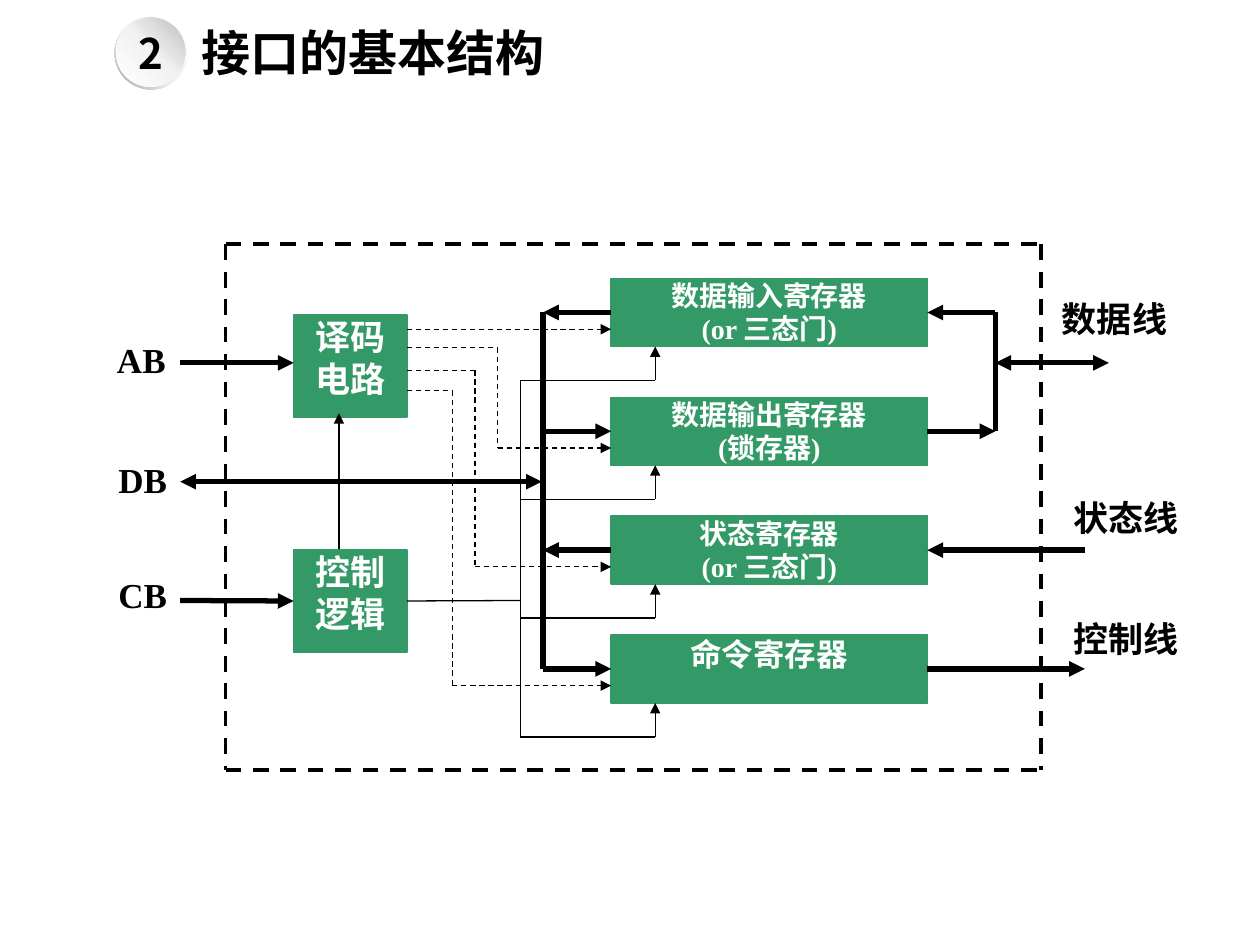
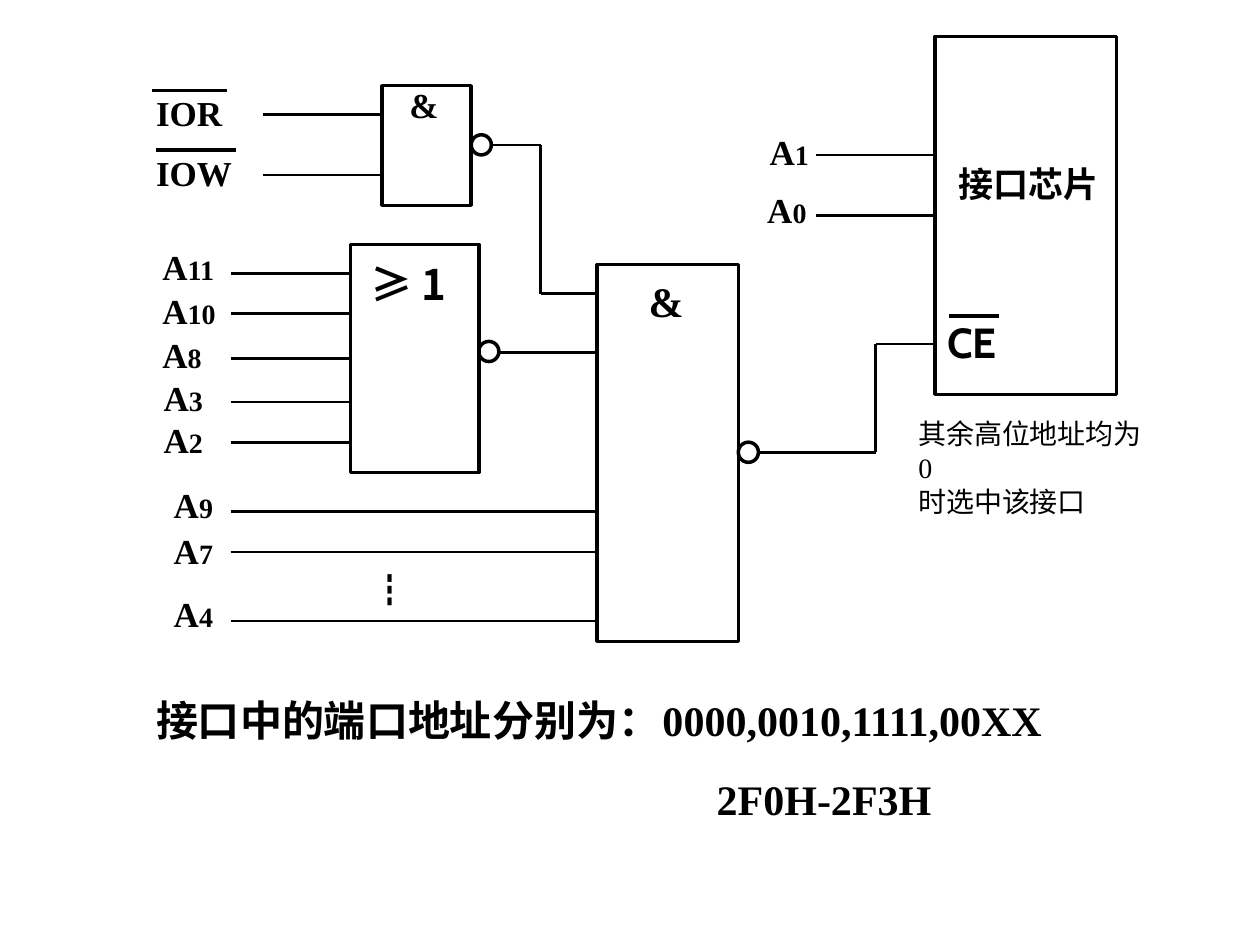
"""Build two slides on the basic structure and address decoding of an interface."""
from dataclasses import dataclass, field
from typing import NamedTuple

from lxml.etree import SubElement
from pptx import Presentation
from pptx.dml.color import RGBColor
from pptx.enum.dml import MSO_LINE
from pptx.enum.shapes import MSO_CONNECTOR, MSO_SHAPE
from pptx.enum.text import MSO_ANCHOR, MSO_AUTO_SIZE, PP_ALIGN
from pptx.oxml.ns import qn
from pptx.util import Inches, Pt

SLIDE_WIDTH, SLIDE_HEIGHT = Inches(10), Inches(7.5)
COLUMN, ROW = SLIDE_WIDTH / 100, SLIDE_HEIGHT / 75
BLACK = RGBColor(0x00, 0x00, 0x00)
WHITE = RGBColor(0xFF, 0xFF, 0xFF)
GREEN = RGBColor(0x33, 0x99, 0x66)
PALE_GREY = RGBColor(0xF2, 0xF2, 0xF2)
LIGHT_GREY = RGBColor(0xBF, 0xBF, 0xBF)
MIDDLE_GREY = RGBColor(0xA6, 0xA6, 0xA6)
SERIF, CHINESE, SANS = "Times New Roman", "Noto Sans CJK SC", "Cabin"


class Area(NamedTuple):
    """A rectangle in grid columns and rows."""
    left: float
    top: float
    width: float
    height: float

    def lengths(self) -> tuple[int, ...]:
        """Return the rectangle in slide units."""
        return tuple(round(value * unit) for value, unit in zip(self, (COLUMN, ROW) * 2))


class Style(NamedTuple):
    """The look of a text."""
    size: float = 20
    font: str = SERIF
    color: RGBColor = BLACK
    bold: bool = True
    align: PP_ALIGN = PP_ALIGN.LEFT
    margin: float = 0.05


class Stroke(NamedTuple):
    """The look of a line."""
    width: float
    dashed: bool = False


class Register(NamedTuple):
    """A register with its data direction and its decoder outlet row."""
    text: str
    size: float
    to_bus: bool
    outlet: float


class Pin(NamedTuple):
    """An address pin: subscript, label corner, and its wire."""
    number: str
    label_left: float
    label_top: float
    wire_left: float
    wire_right: float
    wire_row: float


BUS, WIRE, OUTLINE = Stroke(3), Stroke(1.5), Stroke(2)
ENABLE, SELECT, FRAME = Stroke(0.75), Stroke(0.75, True), Stroke(2.25, True)
LABEL = Style(margin=0)

PITCH = 9.43
REGISTER_LEFT, REGISTER_WIDTH, REGISTER_HEIGHT = 48.5, 25.1, 5.4
REGISTER_RIGHT = REGISTER_LEFT + REGISTER_WIDTH
FIRST_REGISTER_ROW, FIRST_BUS_ROW = 24.8, 28.8
DATA_BUS, ENABLE_BUS, ENABLE_PIN, OUTER_BUS = 43.1, 41.3, 52, 79
BLOCK_LEFT, BLOCK_WIDTH, BLOCK_HEIGHT = 23.3, 9, 8.1
BLOCK_RIGHT = BLOCK_LEFT + BLOCK_WIDTH
REGISTERS = [
    Register("数据输入寄存器\n(or 三态门)", 16, True, 26.1),
    Register("数据输出寄存器\n(锁存器)", 16, False, 27.6),
    Register("状态寄存器\n(or 三态门)", 16, True, 29.4),
    Register("命令寄存器", 18, False, 31),
]
BUS_LABELS = [
    ("数据线", Area(83.3, 23.6, 10.8, 4)),
    ("控制线", Area(84.2, 49, 10.8, 4)),
    ("状态线", Area(84.2, 39.4, 10.8, 4)),
    ("AB", Area(8.3, 26.9, 7.2, 4)),
    ("DB", Area(8.4, 36.4, 7.2, 4)),
    ("CB", Area(8.4, 45.5, 7.2, 4)),
]

CHIP = Area(74.2, 2.9, 14.4, 28.4)
AND_GATE = Area(47.4, 21, 11.2, 29.9)
OR_GATE = Area(27.8, 19.4, 10.2, 18.1)
READ_WRITE_GATE = Area(30.3, 6.8, 7.1, 9.5)
PINS = [
    *(Pin(number, left, top, 18.3, OR_GATE.left, row) for number, left, top, row in (
        ("11", 11.9, 19, 21.7), ("10", 11.9, 22.5, 24.9), ("8", 11.9, 26, 28.45),
        ("3", 12, 29.4, 31.9), ("2", 12, 32.7, 35.1))),
    *(Pin(number, 12.8, top, 18.3, AND_GATE.left, row) for number, top, row in (
        ("9", 37.9, 40.6), ("7", 41.5, 43.8), ("4", 46.5, 49.3))),
    Pin("1", 60.1, 9.9, 64.8, CHIP.left, 12.3),
    Pin("0", 59.9, 14.5, 64.8, CHIP.left, 17.1),
]
BUBBLES = [(38, 27.1), (58.6, 35.1), (37.4, 10.7)]
OVERBARS = [(12.1, 18, 7.2), (12.4, 18.7, 11.9), (75.3, 79.3, 25.1)]
TEXTS = [
    ("≥ 1", Area(28.4, 20, 9.5, 5), Style(24, CHINESE)),
    ("┇", Area(28.6, 44.6, 6.3, 4.3), Style(20, CHINESE)),
    ("&", Area(50.5, 21.4, 7.1, 5), Style(24)),
    ("&", Area(31.5, 6.1, 5.5, 4.3), Style()),
    ("CE", Area(74.2, 24.6, 7.1, 5), Style(24, SANS)),
    ("接口芯片", Area(75.1, 12.4, 13.3, 4.3), Style(20, SANS)),
    ("IOR", Area(11.4, 6.8, 9.5, 4.3), Style()),
    ("IOW", Area(11.4, 11.5, 9.5, 4.3), Style()),
    ("其余高位地址均为0\n时选中该接口", Area(71.9, 32.6, 20.5, 6.4), Style(16, bold=False)),
    ("接口中的端口地址分别为：", Area(11.4, 54.6, 44, 5), Style(24)),
    ("0000,0010,1111,00XX", Area(51.6, 54.6, 34, 5), Style(24)),
    ("2F0H-2F3H", Area(55.9, 60.9, 20, 5), Style(24)),
]


def format_run(run, style: Style) -> None:
    """Apply a style to a run, for Latin and Chinese letters alike."""
    run.font.size, run.font.bold, run.font.name = Pt(style.size), style.bold, style.font
    run.font.color.rgb = style.color
    SubElement(run.font._element, qn("a:ea")).set("typeface", CHINESE)


def write(shape, text: str, style: Style, anchor=MSO_ANCHOR.TOP) -> None:
    """Put styled text into a shape."""
    frame = shape.text_frame
    frame.text = text
    frame.word_wrap, frame.auto_size = True, MSO_AUTO_SIZE.NONE
    frame.vertical_anchor = anchor
    frame.margin_left = frame.margin_right = Inches(0.1)
    frame.margin_top = frame.margin_bottom = Inches(style.margin)
    for paragraph in frame.paragraphs:
        paragraph.alignment = style.align
        for run in paragraph.runs:
            format_run(run, style)


@dataclass
class Diagram:
    """A slide with boxes that straight lines can join."""
    slide: object
    boxes: list = field(default_factory=list)

    def label(self, text: str, area: Area, style: Style):
        """Add a text box."""
        shape = self.slide.shapes.add_textbox(*area.lengths())
        write(shape, text, style)
        return shape

    def shape(self, kind: MSO_SHAPE, area: Area, fill=None, stroke: Stroke = OUTLINE):
        """Add a preset shape, outlined in black unless it is filled."""
        shape = self.slide.shapes.add_shape(kind, *area.lengths())
        shape.shadow.inherit = False
        if fill is None:
            shape.fill.background()
        else:
            shape.fill.solid()
            shape.fill.fore_color.rgb = fill
        shape.line.color.rgb = fill or BLACK
        shape.line.width = Pt(stroke.width)
        return shape

    def box(self, area: Area, fill=None, stroke: Stroke = OUTLINE):
        """Add a rectangle that lines can join."""
        shape = self.shape(MSO_SHAPE.RECTANGLE, area, fill, stroke)
        self.boxes.append((area, shape))
        return shape

    def line(self, start: tuple, end: tuple, stroke: Stroke, ends: str = "") -> None:
        """Draw a straight line with arrowheads at the named ends."""
        units = [round(value * unit) for value, unit in zip(start + end, (COLUMN, ROW) * 2)]
        connector = self.slide.shapes.add_connector(MSO_CONNECTOR.STRAIGHT, *units)
        connector.line.color.rgb = BLACK
        connector.line.width = Pt(stroke.width)
        if stroke.dashed:
            connector.line.dash_style = MSO_LINE.DASH
        properties = connector._element.spPr
        for name in ends.split():
            SubElement(properties.find(qn("a:ln")), qn(f"a:{name}End")).set("type", "triangle")
        SubElement(properties, qn("a:effectLst"))
        self.join(start, connector.begin_connect)
        self.join(end, connector.end_connect)

    def join(self, point: tuple, connect) -> None:
        """Join a line's end to a box when it meets the middle of a side."""
        for (left, top, width, height), shape in self.boxes:
            middle, centre = left + width / 2, top + height / 2
            sides = [(middle, top), (left, centre), (middle, top + height), (left + width, centre)]
            for site, side in enumerate(sides):
                if max(abs(a - b) for a, b in zip(point, side)) < 0.06:
                    connect(shape, site)

    def route(self, points: list, stroke: Stroke, ends: str = "") -> None:
        """Draw a chain of straight lines, with arrowheads on the last one."""
        for index, (start, end) in enumerate(zip(points, points[1:])):
            self.line(start, end, stroke, ends if index == len(points) - 2 else "")


def fill_gradient(shape, stops: list, angle: float) -> None:
    """Fill a shape with a linear gradient and drop its outline."""
    shape.line.fill.background()
    shape.fill.gradient()
    shape.fill.gradient_angle = angle
    stop_list = shape._element.spPr.find(qn("a:gradFill")).find(qn("a:gsLst"))
    stop_list.clear()
    for position, color in stops:
        stop = SubElement(stop_list, qn("a:gs"), pos=str(position * 1000))
        SubElement(stop, qn("a:srgbClr"), val=str(color))


def draw_heading(diagram: Diagram, number: str, text: str) -> None:
    """Draw the title with its numbered ball."""
    title = diagram.slide.shapes.title
    title.left, title.top, title.width, title.height = Area(15, 1.3, 35.8, 5.7).lengths()
    write(title, text, Style(28))
    ring = diagram.shape(MSO_SHAPE.DONUT, Area(9.1, 1.3, 5.8, 5.8), WHITE)
    ring.adjustments[0] = 0.05
    fill_gradient(ring, [(0, WHITE), (55, PALE_GREY), (100, MIDDLE_GREY)], 225)
    ball = diagram.shape(MSO_SHAPE.OVAL, Area(9.2, 1.4, 5.5, 5.5), WHITE)
    fill_gradient(ball, [(0, WHITE), (51, PALE_GREY), (100, LIGHT_GREY)], 45)
    write(ball, number, Style(24, CHINESE, align=PP_ALIGN.CENTER), MSO_ANCHOR.MIDDLE)


def draw_register(diagram: Diagram, index: int, register: Register) -> None:
    """Draw a register with its data, select and enable lines."""
    centre = FIRST_REGISTER_ROW + index * PITCH
    bottom, select_row = centre + REGISTER_HEIGHT / 2, centre + 1.33
    area = Area(REGISTER_LEFT, centre - REGISTER_HEIGHT / 2, REGISTER_WIDTH, REGISTER_HEIGHT)
    block = diagram.box(area, GREEN, ENABLE)
    write(block, register.text, Style(register.size, color=WHITE, align=PP_ALIGN.CENTER, margin=0))
    outside = OUTER_BUS if index < 2 else 86.1
    arrow = "head" if register.to_bus else "tail"
    diagram.line((DATA_BUS, centre), (REGISTER_LEFT, centre), BUS, arrow)
    diagram.line((REGISTER_RIGHT, centre), (outside, centre), BUS, arrow)
    channel = ENABLE_BUS - 1.8 * index
    bends = [(channel, register.outlet), (channel, select_row)] if index else []
    outlet_row = register.outlet if index else select_row
    diagram.route([(BLOCK_RIGHT, outlet_row), *bends, (REGISTER_LEFT, select_row)], SELECT, "tail")
    enable_row = bottom + 2.7
    diagram.route([(ENABLE_BUS, enable_row), (ENABLE_PIN, enable_row), (ENABLE_PIN, bottom)],
                  ENABLE, "tail")


def draw_structure(diagram: Diagram) -> None:
    """Draw the block diagram of an interface."""
    for text, area in BUS_LABELS:
        diagram.label(text, area, LABEL)
    for text, top in (("译码\n电路", 25), ("控制\n逻辑", 43.65)):
        block = diagram.box(Area(BLOCK_LEFT, top, BLOCK_WIDTH, BLOCK_HEIGHT), GREEN, ENABLE)
        write(block, text, Style(color=WHITE, align=PP_ALIGN.CENTER, margin=0))
    for index, register in enumerate(REGISTERS):
        draw_register(diagram, index, register)
    address_row, data_row, control_row = (FIRST_BUS_ROW + PITCH * index for index in range(3))
    last_row = FIRST_REGISTER_ROW + 3 * PITCH
    diagram.line((DATA_BUS, FIRST_REGISTER_ROW), (DATA_BUS, last_row), BUS)
    diagram.line((OUTER_BUS, FIRST_REGISTER_ROW), (OUTER_BUS, FIRST_REGISTER_ROW + PITCH), BUS)
    diagram.line((OUTER_BUS, address_row), (88, address_row), BUS, "head tail")
    diagram.line((14.3, address_row), (BLOCK_LEFT, address_row), BUS, "tail")
    diagram.line((14.3, data_row), (43, data_row), BUS, "head tail")
    diagram.line((14.3, control_row), (BLOCK_LEFT, control_row), BUS, "tail")
    diagram.line((BLOCK_RIGHT, control_row), (ENABLE_BUS, control_row), ENABLE)
    diagram.line((ENABLE_BUS, 30.2), (ENABLE_BUS, 58.5), ENABLE)
    diagram.line((26.9, 43.6), (26.9, 32.8), Stroke(1), "tail")
    left, top, right, bottom = 17.9, 19.4, 82.6, 61.1
    for column in (left, right):
        diagram.line((column, top), (column, bottom), FRAME)
    for row in (top, bottom):
        diagram.line((left, row), (right, row), FRAME)


def draw_decoder(diagram: Diagram) -> None:
    """Draw the address decoding circuit."""
    for area in (CHIP, AND_GATE, OR_GATE, READ_WRITE_GATE):
        diagram.box(area)
    for left, top in BUBBLES:
        diagram.shape(MSO_SHAPE.OVAL, Area(left, top, 1.6, 1.6))
    for pin in PINS:
        label = diagram.label("A", Area(pin.label_left, pin.label_top, 7.9, 4.3), Style())
        subscript = label.text_frame.paragraphs[0].add_run()
        subscript.text = pin.number
        format_run(subscript, Style(16))
        diagram.line((pin.wire_left, pin.wire_row), (pin.wire_right, pin.wire_row), WIRE)
    for row in (9.1, 13.9):
        diagram.line((20.9, row), (READ_WRITE_GATE.left, row), WIRE)
    diagram.route([(39, 11.5), (42.9, 11.5), (42.9, 23.3), (AND_GATE.left, 23.3)], WIRE)
    diagram.line((39.6, 28), (AND_GATE.left, 28), WIRE)
    diagram.route([(60.1, 35.9), (69.5, 35.9), (69.5, 27.3), (CHIP.left, 27.3)], WIRE)
    for left, right, row in OVERBARS:
        diagram.line((left, row), (right, row), OUTLINE)
    for text, area, style in TEXTS:
        diagram.label(text, area, style)


def main() -> None:
    """Build and save the presentation."""
    presentation = Presentation()
    presentation.slide_width, presentation.slide_height = SLIDE_WIDTH, SLIDE_HEIGHT
    title_only, blank = presentation.slide_layouts[5], presentation.slide_layouts[6]
    structure = Diagram(presentation.slides.add_slide(title_only))
    draw_heading(structure, "2", "接口的基本结构")
    draw_structure(structure)
    draw_decoder(Diagram(presentation.slides.add_slide(blank)))
    presentation.save("out.pptx")


if __name__ == "__main__":
    main()
